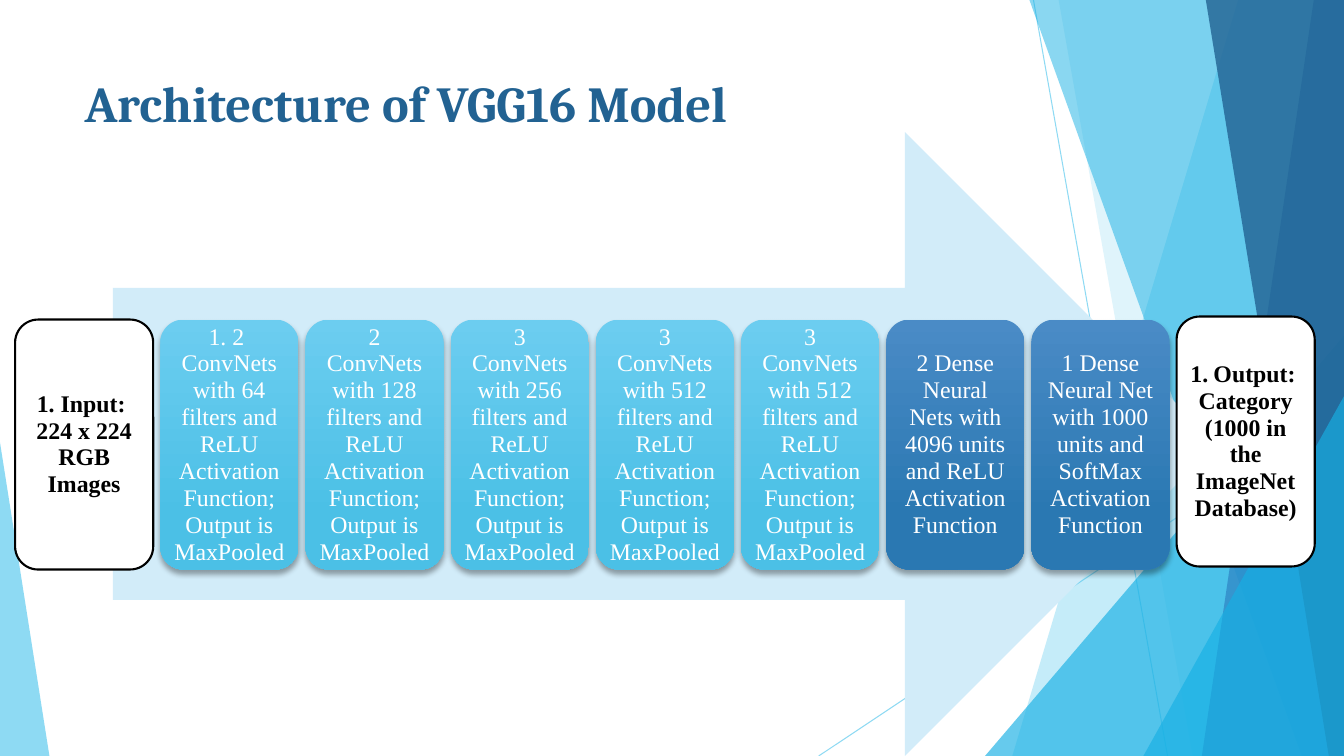
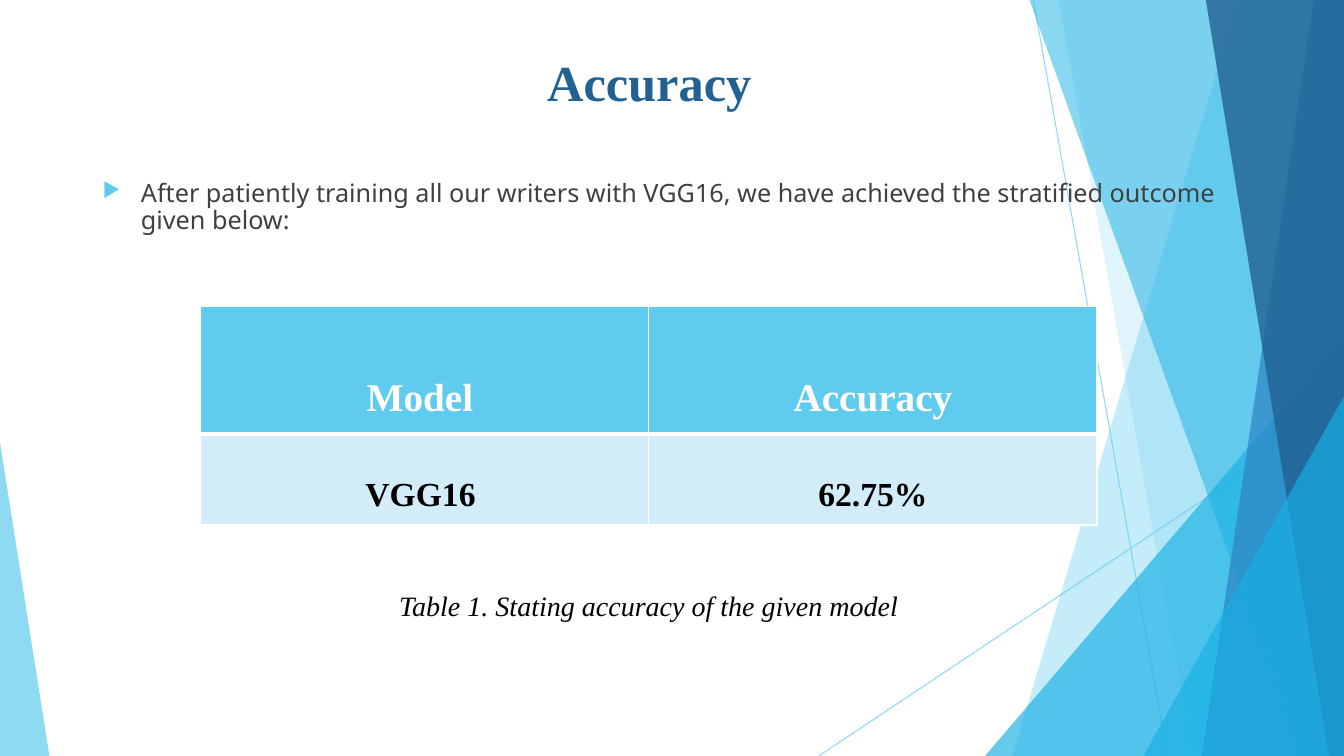
from dataclasses import dataclass
from typing import Any

from lxml import etree
from pptx import Presentation
from pptx.dml.color import RGBColor
from pptx.enum.shapes import MSO_CONNECTOR, MSO_SHAPE
from pptx.enum.text import MSO_ANCHOR, PP_ALIGN
from pptx.oxml.ns import qn
from pptx.util import Inches, Pt

CENTER = PP_ALIGN.CENTER
LEFT = PP_ALIGN.LEFT
MIDDLE = MSO_ANCHOR.MIDDLE
TRIANGLE = MSO_SHAPE.ISOSCELES_TRIANGLE
ROUNDED = MSO_SHAPE.ROUNDED_RECTANGLE
ARROW = MSO_SHAPE.RIGHT_ARROW
STRAIGHT = MSO_CONNECTOR.STRAIGHT

WHITE = RGBColor(0xFF, 0xFF, 0xFF)
BLACK = RGBColor(0x00, 0x00, 0x00)
CHARCOAL = RGBColor(0x40, 0x40, 0x40)
SKY = RGBColor(0x5F, 0xCB, 0xEF)
CYAN = RGBColor(0x17, 0xB0, 0xE4)
BLUE = RGBColor(0x2E, 0x83, 0xC3)
NAVY = RGBColor(0x22, 0x62, 0x92)
PALE = RGBColor(0xD2, 0xEC, 0xF9)
SKY_BLEND = (RGBColor(0x6C, 0xCD, 0xF0), RGBColor(0x4B, 0xC0, 0xE6))
BLUE_BLEND = (RGBColor(0x4A, 0x8B, 0xC6), RGBColor(0x2A, 0x78, 0xB2))

SERIF = "Times New Roman"
TITLE = {"name": SERIF, "size": Pt(36), "bold": True}
STEP = {"name": SERIF, "size": Pt(17)}
BODY = {"name": "Noto Sans", "size": Pt(18)}
CAPTION = {"name": SERIF, "size": Pt(20), "italic": True}

PAGE_WIDTH, PAGE_HEIGHT = 13.33, 7.5


@dataclass(frozen=True)
class Facet:
    top: float
    bottom: float
    color: RGBColor
    opacity: int

    def draw(self, page: Any) -> Any:
        builder = page.shapes.build_freeform(Inches(self.top), 0)
        corners = [(PAGE_WIDTH, 0), (PAGE_WIDTH, PAGE_HEIGHT), (self.bottom, PAGE_HEIGHT)]
        builder.add_line_segments([(Inches(x), Inches(y)) for x, y in corners])
        return builder.convert_to_shape()


@dataclass(frozen=True)
class Wedge:
    left: float
    width: float
    height: float
    apex: float
    color: RGBColor
    opacity: int

    def draw(self, page: Any) -> Any:
        shape = page.shapes.add_shape(
            TRIANGLE, Inches(self.left), Inches(PAGE_HEIGHT - self.height),
            Inches(self.width), Inches(self.height))
        shape.adjustments[0] = self.apex
        return shape


@dataclass(frozen=True)
class Step:
    text: str
    blend: tuple[RGBColor, RGBColor] | None = None
    numbered: bool = False
    top: float = 3.17


@dataclass(frozen=True)
class Row:
    cells: tuple[str, str]
    height: float
    size: int
    spacing: float
    fill: RGBColor
    color: RGBColor
    bottom_border: float


RAYS = [((10.25, 0), (11.58, 7.5)), ((13.33, 4.03), (8.12, 7.5))]
BACKDROP = [
    Facet(12.28, 10.04, SKY, 36),
    Facet(10.5, 11.83, SKY, 20),
    Wedge(9.77, 3.56, 4.17, 1, CYAN, 66),
    Facet(10.21, 12.91, CYAN, 50),
    Facet(13.03, 11.92, BLUE, 70),
    Facet(11.96, 13.18, NAVY, 80),
    Wedge(11.34, 1.99, 3.57, 1, CYAN, 66),
    Wedge(0, 0.49, 3.11, 0, SKY, 70),
]


def conv_step(nets: int, filters: int, numbered: bool = False) -> Step:
    text = (f"{nets} ConvNets with {filters} filters and ReLU Activation Function; "
            "Output is MaxPooled")
    return Step(text, SKY_BLEND, numbered)


STEPS = [
    Step("Input:\v224 x 224 RGB Images", numbered=True),
    conv_step(2, 64, numbered=True),
    conv_step(2, 128),
    conv_step(3, 256),
    conv_step(3, 512),
    conv_step(3, 512),
    Step("2 Dense Neural Nets with 4096 units and ReLU Activation Function", BLUE_BLEND),
    Step("1 Dense Neural Net with 1000 units and SoftMax Activation Function", BLUE_BLEND),
    Step("Output:\vCategory (1000 in the ImageNet Database)", numbered=True, top=3.14),
]
ROWS = [
    Row(("Model ", "Accuracy"), 1.16, 28, 2.5, SKY, WHITE, 3),
    Row(("VGG16 ", "62.75%"), 0.85, 24, 2, PALE, BLACK, 1),
]


def add_child(parent: Any, tag: str, **values: Any) -> Any:
    return etree.SubElement(parent, qn(tag), {key: str(value) for key, value in values.items()})


def set_opacity(element: Any, percent: int) -> None:
    add_child(next(element.iter(qn("a:srgbClr"))), "a:alpha", val=percent * 1000)


def write(frame: Any, text: str, style: dict[str, Any], color: RGBColor,
          align: Any = LEFT) -> Any:
    frame.word_wrap = True
    para = frame.paragraphs[0]
    para.text = text
    para.alignment = align
    for span in para.runs:
        for key, value in style.items():
            setattr(span.font, key, value)
        span.font.color.rgb = color
    return para


def add_text(page: Any, left: float, top: float, width: float, height: float,
             text: str, style: dict[str, Any], color: RGBColor, align: Any = LEFT) -> Any:
    box = page.shapes.add_textbox(Inches(left), Inches(top), Inches(width), Inches(height))
    return write(box.text_frame, text, style, color, align)


def add_page(deck: Any) -> Any:
    page = deck.slides.add_slide(deck.slide_layouts[6])
    for start, end in RAYS:
        ray = page.shapes.add_connector(STRAIGHT, *(Inches(value) for value in start + end))
        ray.line.color.rgb = SKY
        ray.line.width = Pt(0.75)
        set_opacity(ray.line._get_or_add_ln(), 70)
        add_child(ray._element.spPr, "a:effectLst")
    for piece in BACKDROP:
        shape = piece.draw(page)
        shape.shadow.inherit = False
        shape.fill.solid()
        shape.fill.fore_color.rgb = piece.color
        shape.line.fill.background()
        set_opacity(shape._element.spPr, piece.opacity)
    return page


def add_step(page: Any, step: Step, left: float) -> None:
    box = page.shapes.add_shape(
        ROUNDED, Inches(left), Inches(step.top), Inches(1.37), Inches(2.48))
    box.shadow.inherit = False
    if step.blend:
        box.fill.gradient()
        box.fill.gradient_angle = 270
        for stop, color, position in zip(box.fill.gradient_stops, step.blend, (0, 0.78)):
            stop.color.rgb = color
            stop.position = position
        box.line.fill.background()
        effects = box._element.spPr.find(qn("a:effectLst"))
        shadow = add_child(effects, "a:outerShdw", blurRad=Pt(4), dist=Pt(3),
                           dir=5400000, rotWithShape=0)
        add_child(add_child(shadow, "a:srgbClr", val=BLACK), "a:alpha", val=35000)
    else:
        box.fill.solid()
        box.fill.fore_color.rgb = WHITE
        box.line.color.rgb = BLACK
        box.line.width = Pt(1.5)
    frame = box.text_frame
    frame.vertical_anchor = MIDDLE
    for side in ("left", "top", "right", "bottom"):
        setattr(frame, f"margin_{side}", Inches(0.07))
    para = write(frame, step.text, STEP | {"bold": not step.blend},
                 WHITE if step.blend else BLACK, CENTER)
    para.line_spacing = 0.94
    if step.numbered:
        add_child(para._p.get_or_add_pPr(), "a:buAutoNum", type="arabicPeriod")


def set_borders(cell: Any, bottom: float) -> None:
    properties = cell._tc.get_or_add_tcPr()
    widths = {"a:lnL": 1, "a:lnR": 1, "a:lnT": 1, "a:lnB": bottom}
    for position, (tag, width) in enumerate(widths.items()):
        border = add_child(properties, tag, w=Pt(width))
        add_child(add_child(border, "a:solidFill"), "a:srgbClr", val=WHITE)
        properties.insert(position, border)


def add_results(page: Any) -> None:
    height = sum(row.height for row in ROWS)
    table = page.shapes.add_table(
        len(ROWS), 2, Inches(1.99), Inches(3.04), Inches(8.89), Inches(height)).table
    for index, row in enumerate(ROWS):
        table.rows[index].height = Inches(row.height)
        for cell, text in zip(table.rows[index].cells, row.cells):
            cell.fill.solid()
            cell.fill.fore_color.rgb = row.fill
            style = {"name": SERIF, "size": Pt(row.size), "bold": True}
            write(cell.text_frame, text, style, row.color, CENTER).line_spacing = row.spacing
            set_borders(cell, row.bottom_border)


def build_architecture(deck: Any) -> None:
    page = add_page(deck)
    add_text(page, 0.74, 0.67, 9.4, 1.44, "Architecture of VGG16 Model",
             TITLE | {"name": "Cambria"}, NAVY)
    arrow = page.shapes.add_shape(ARROW, Inches(1.12), Inches(1.31), Inches(10.95), Inches(6.19))
    arrow.shadow.inherit = False
    arrow.fill.solid()
    arrow.fill.fore_color.rgb = PALE
    arrow.line.fill.background()
    for index, step in enumerate(STEPS):
        add_step(page, step, 0.15 + index * 1.44)


def build_accuracy(deck: Any) -> None:
    page = add_page(deck)
    add_text(page, 0.69, 0.46, 11.5, 1.45, "Accuracy", TITLE, NAVY, CENTER)
    para = add_text(
        page, 0.92, 1.74, 11.5, 1, "After patiently training all our writers with VGG16, "
        "we have achieved the stratified outcome given below:", BODY, CHARCOAL)
    para.line_spacing = 0.9
    properties = para._p.get_or_add_pPr()
    for key, value in {"marL": Inches(0.38), "indent": Inches(-0.38)}.items():
        properties.set(key, str(value))
    add_child(add_child(properties, "a:buClr"), "a:srgbClr", val=SKY)
    add_child(properties, "a:buSzPct", val=80000)
    add_child(properties, "a:buChar", char="▶")
    add_results(page)
    add_text(page, 2.61, 5.79, 7.65, 0.42, "Table 1. Stating accuracy of the given model",
             CAPTION, BLACK, CENTER)


def main() -> None:
    deck = Presentation()
    deck.slide_width = Inches(PAGE_WIDTH)
    deck.slide_height = Inches(PAGE_HEIGHT)
    build_architecture(deck)
    build_accuracy(deck)
    deck.save("out.pptx")


if __name__ == "__main__":
    main()
